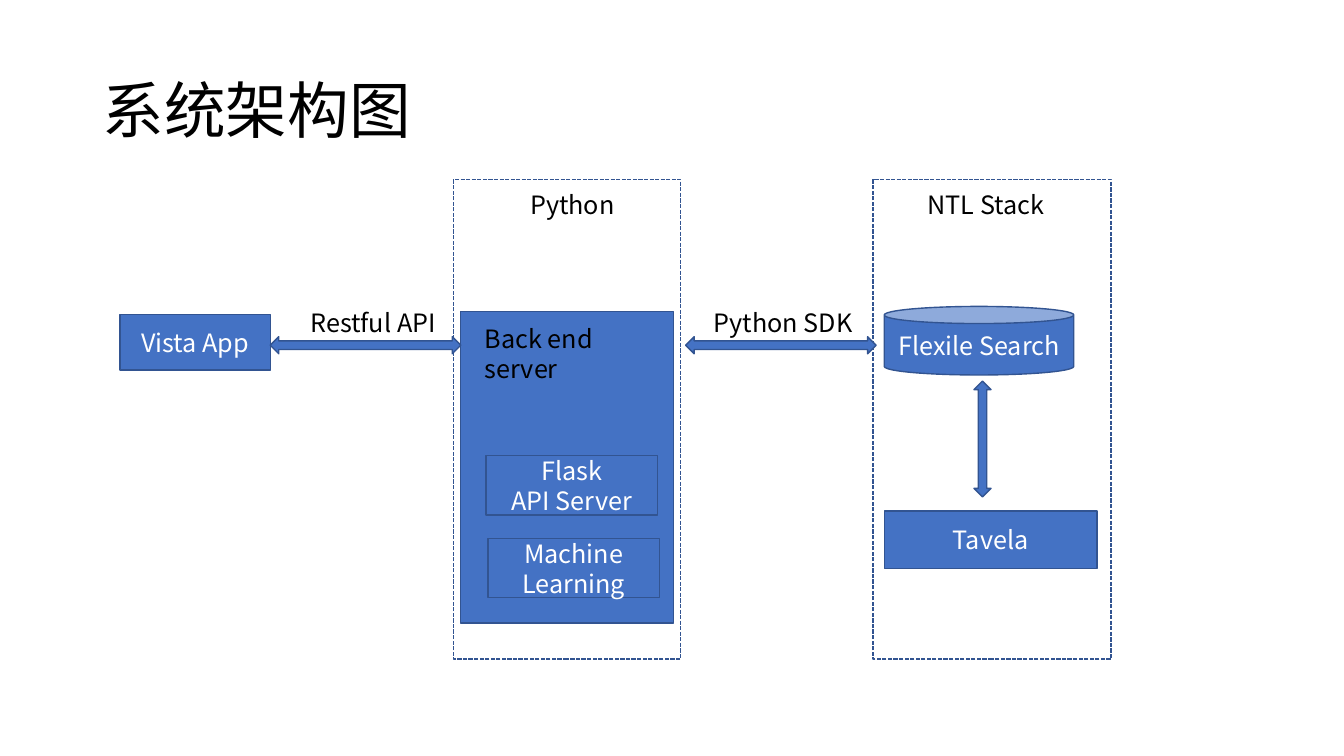
from pptx import Presentation
from pptx.dml.color import RGBColor
from pptx.enum.dml import MSO_LINE_DASH_STYLE as Dash
from pptx.enum.shapes import MSO_SHAPE as Kind
from pptx.enum.text import MSO_ANCHOR as Anchor, PP_ALIGN as Align
from pptx.oxml.ns import qn
from pptx.util import Inches, Pt
from lxml.etree import SubElement

FONT = "Noto Sans CJK SC"
BLUE, EDGE, WHITE, BLACK = "4472C4", "325491", "FFFFFF", "000000"

TITLE = ("系统架构图", 0.92, 0.4, 11.5, 1.45)
ZONES = [(4.5, 1.78, 2.25, 4.76), (8.66, 1.78, 2.36, 4.76)]
SERVER = (4.57, 3.09, 2.11, 3.09)
BOXES = [
    ("Vista App", Kind.RECTANGLE, 1.19, 3.12, 1.49, 0.55),
    ("Flexile Search", Kind.CAN, 8.77, 3.04, 1.88, 0.68),
    ("Tavela", Kind.RECTANGLE, 8.77, 5.07, 2.11, 0.57),
    ("Machine Learning", Kind.RECTANGLE, 4.84, 5.34, 1.7, 0.59),
    ("Flask\nAPI Server", Kind.RECTANGLE, 4.82, 4.52, 1.7, 0.59),
]
ARROWS = [
    (Kind.LEFT_RIGHT_ARROW, 2.68, 3.34, 1.89, 0.17),
    (Kind.LEFT_RIGHT_ARROW, 6.8, 3.34, 1.89, 0.17),
    (Kind.UP_DOWN_ARROW, 9.66, 3.78, 0.17, 1.15),
]
LABELS = [
    ("Restful API", 2.98, 3.0, 1.49, 0.4),
    ("Python SDK", 6.98, 3.0, 1.65, 0.4),
    ("NTL Stack", 9.1, 1.83, 1.47, 0.4),
    ("Python", 5.16, 1.83, 1.77, 0.4),
    ("Back end server", 4.71, 3.16, 1.6, 0.71),
]


def paint(target, color):
    target.solid()
    target.fore_color.rgb = RGBColor.from_string(color)


def write(shape, text, size, color, align, anchor, spacing):
    frame = shape.text_frame
    frame.text = text
    frame.word_wrap = True
    frame.vertical_anchor = anchor
    for para in frame.paragraphs:
        para.alignment = align
        para.line_spacing = spacing
        for run in para.runs:
            run.font.size = Pt(size)
            run.font.name = FONT
            paint(run.font.fill, color)
            SubElement(run.font._element, qn("a:ea"), typeface=FONT)


def draw(kind, spot, fill=BLUE):
    shape = slide.shapes.add_shape(kind, *map(Inches, spot))
    shape.shadow.inherit = False
    paint(shape.fill, fill)
    paint(shape.line.fill, EDGE)
    shape.line.width = Pt(1)
    return shape


def label(text, spot, size, anchor, spacing):
    box = slide.shapes.add_textbox(*map(Inches, spot))
    write(box, text, size, BLACK, Align.LEFT, anchor, spacing)


deck = Presentation()
deck.slide_width, deck.slide_height = Inches(13.33), Inches(7.5)
slide = deck.slides.add_slide(deck.slide_layouts[6])

for spot in ZONES:
    draw(Kind.RECTANGLE, spot, WHITE).line.dash_style = Dash.SQUARE_DOT
label(TITLE[0], TITLE[1:], 44, Anchor.MIDDLE, 0.9)
draw(Kind.RECTANGLE, SERVER)
for text, kind, *spot in BOXES:
    write(draw(kind, spot), text, 18, WHITE, Align.CENTER, Anchor.MIDDLE, 1.0)
for kind, *spot in ARROWS:
    draw(kind, spot)
for text, *spot in LABELS:
    label(text, spot, 18, Anchor.TOP, 1.0)

deck.save("out.pptx")
